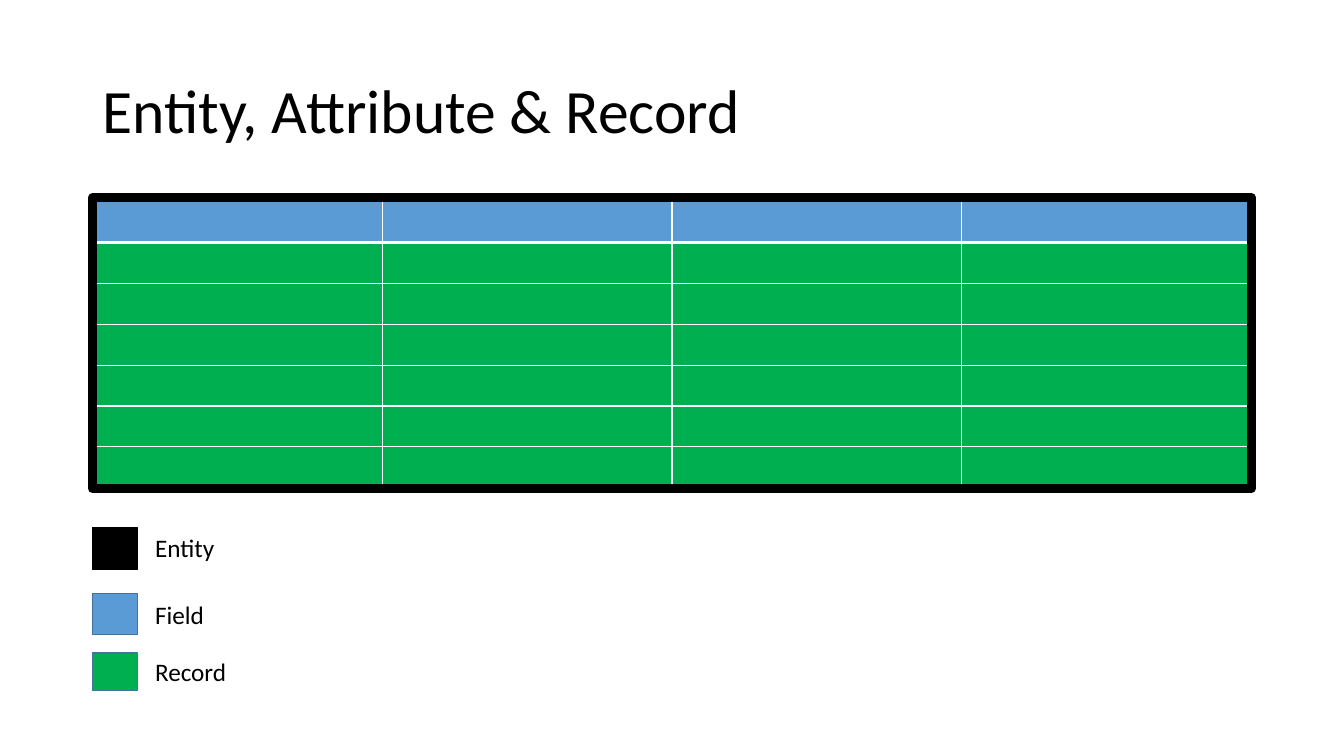
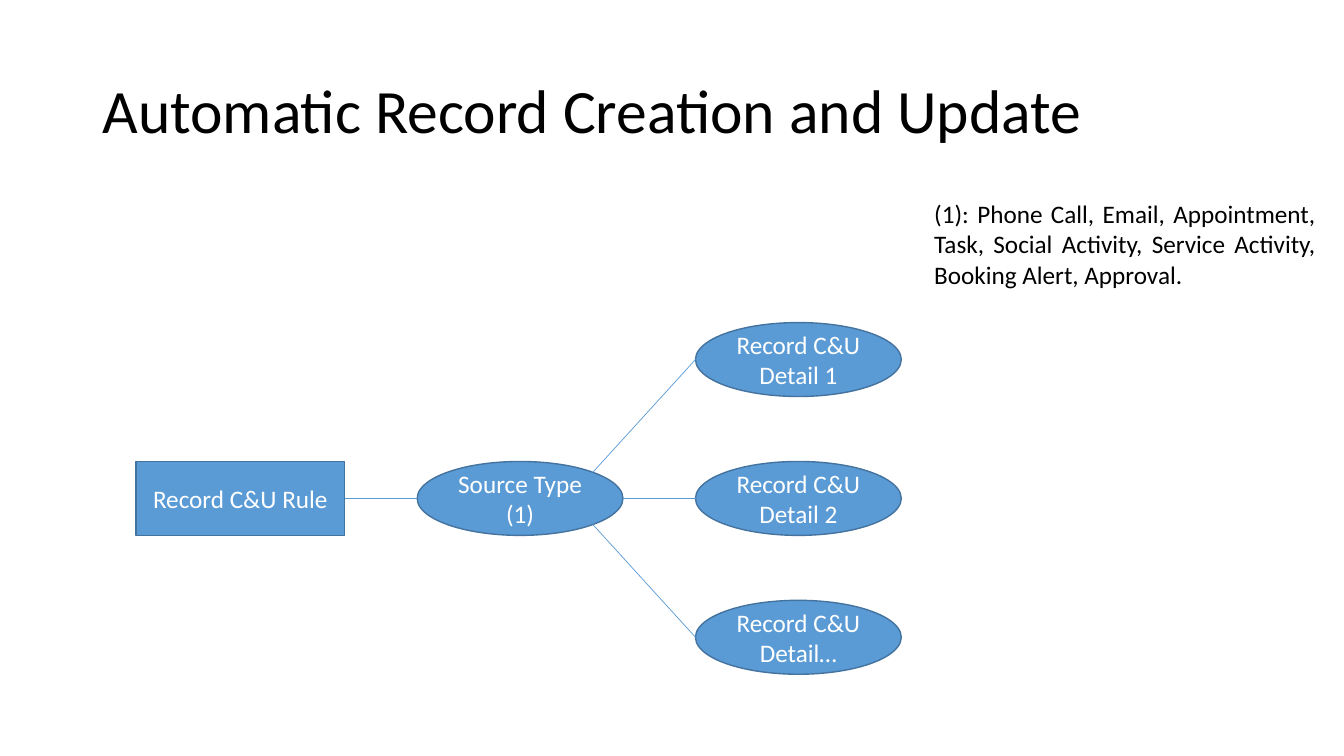
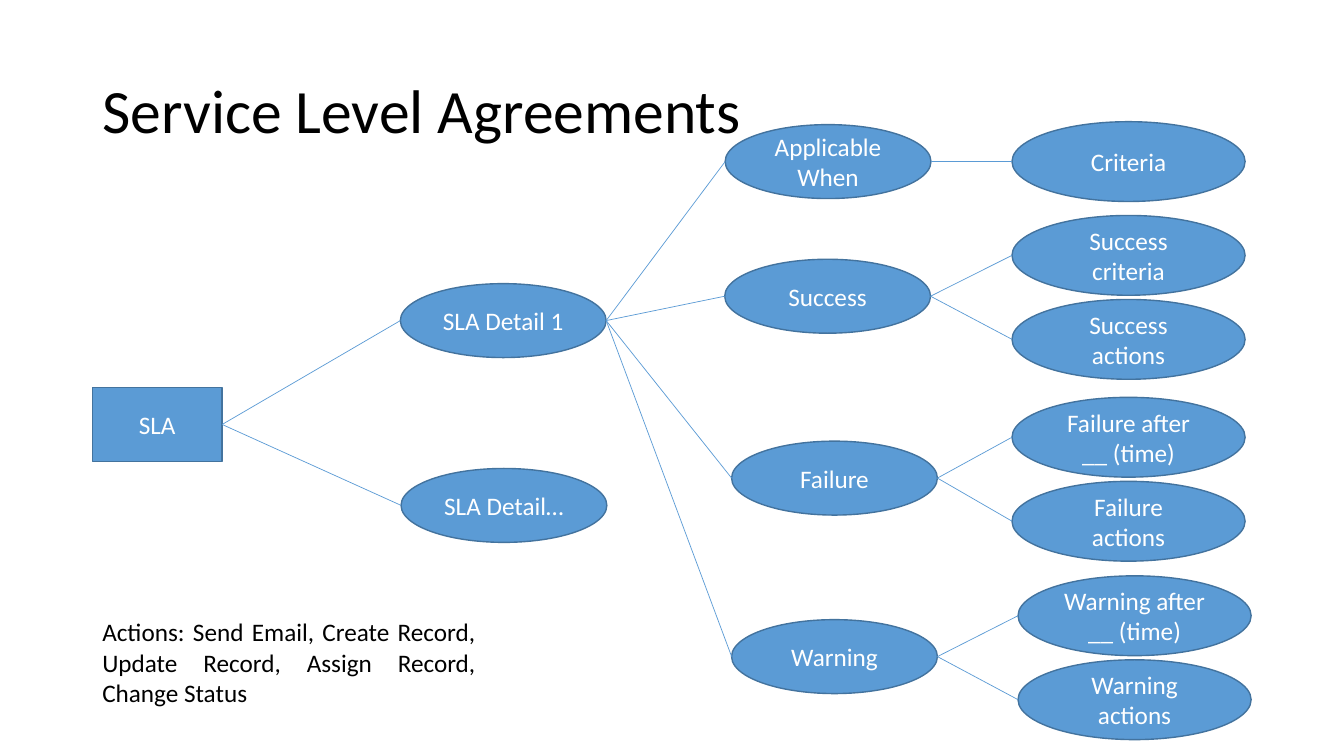
from dataclasses import dataclass
from math import sqrt

from lxml.etree import SubElement
from pptx import Presentation
from pptx.dml.color import RGBColor
from pptx.enum.shapes import MSO_CONNECTOR as CONN, MSO_SHAPE as SHAPE
from pptx.enum.text import MSO_ANCHOR as ANCHOR, MSO_AUTO_SIZE as FIT, PP_ALIGN as ALIGN
from pptx.oxml.ns import qn
from pptx.presentation import Presentation as Deck
from pptx.shapes.autoshape import Shape
from pptx.slide import Slide
from pptx.table import _Cell as Cell
from pptx.text.text import TextFrame
from pptx.util import Pt


# Theme
@dataclass(frozen=True)
class Theme:
    font: str = "Calibri"
    title_size: float = 44
    body_size: float = 18
    black: str = "000000"
    white: str = "FFFFFF"
    blue: str = "5B9BD5"
    outline: str = "43739E"
    green: str = "00B050"
    left: float = 66
    width: float = 828
    link_width: float = 0.5


THEME = Theme()


@dataclass(frozen=True)
class Box:
    left: float
    top: float
    width: float
    height: float

    def lengths(self) -> tuple[Pt, Pt, Pt, Pt]:
        return Pt(self.left), Pt(self.top), Pt(self.width), Pt(self.height)


@dataclass(frozen=True)
class Node:
    """A diagram node, placed by its left edge and vertical middle."""
    text: str
    left: float
    mid: float
    width: float = 147
    height: float = 52.8
    kind: SHAPE = SHAPE.OVAL

    def box(self) -> Box:
        return Box(self.left, self.mid - self.height / 2, self.width, self.height)

    def left_point(self) -> tuple[float, float]:
        return self.left, self.mid

    def right_point(self) -> tuple[float, float]:
        return self.left + self.width, self.mid

    def diagonal_point(self, direction: int) -> tuple[float, float]:
        """Right-hand point at 45 degrees: -1 is upper, 1 is lower."""
        return (self.left + self.width / 2 * (1 + 1 / sqrt(2)),
                self.mid + direction * self.height / 2 / sqrt(2))


@dataclass(frozen=True)
class LegendEntry:
    text: str
    fill: str
    line: str
    top: float
    height: float
    text_top: float


# Shared drawing functions
def style_text(tf: TextFrame, size: float, color: str, align: ALIGN) -> None:
    for p in tf.paragraphs:
        p.alignment = align
        for r in p.runs:
            r.font.name = THEME.font
            r.font.size = Pt(size)
            r.font.color.rgb = RGBColor.from_string(color)


def add_titled_slide(prs: Deck, title: str) -> Slide:
    s = prs.slides.add_slide(prs.slide_layouts[5])
    sp = s.shapes.title
    sp.left, sp.top, sp.width, sp.height = Box(THEME.left, 28.8, THEME.width, 104.4).lengths()
    tf = sp.text_frame
    tf.text = title
    tf.vertical_anchor = ANCHOR.MIDDLE
    tf.paragraphs[0].line_spacing = 0.9
    style_text(tf, THEME.title_size, THEME.black, ALIGN.LEFT)
    return s


def add_note(s: Slide, text: str, box: Box, align: ALIGN = ALIGN.LEFT) -> None:
    tf = s.shapes.add_textbox(*box.lengths()).text_frame
    tf.text = text
    tf.word_wrap = True
    tf.auto_size = FIT.SHAPE_TO_FIT_TEXT
    style_text(tf, THEME.body_size, THEME.black, align)


def add_shape(s: Slide, kind: SHAPE, box: Box, fill: str | None, line: str,
              line_width: float = 1) -> Shape:
    sp = s.shapes.add_shape(kind, *box.lengths())
    sp.shadow.inherit = False
    if fill is None:
        sp.fill.background()
    else:
        sp.fill.solid()
        sp.fill.fore_color.rgb = RGBColor.from_string(fill)
    sp.line.color.rgb = RGBColor.from_string(line)
    sp.line.width = Pt(line_width)
    return sp


def add_node(s: Slide, node: Node) -> None:
    tf = add_shape(s, node.kind, node.box(), THEME.blue, THEME.outline).text_frame
    tf.text = node.text
    tf.vertical_anchor = ANCHOR.MIDDLE
    style_text(tf, THEME.body_size, THEME.white, ALIGN.CENTER)


def add_link(s: Slide, start: tuple[float, float], end: tuple[float, float]) -> None:
    link = s.shapes.add_connector(CONN.STRAIGHT, *(Pt(v) for v in start + end))
    link.line.color.rgb = RGBColor.from_string(THEME.blue)
    link.line.width = Pt(THEME.link_width)
    SubElement(link._element.spPr, qn("a:effectLst"))


def add_branch(s: Slide, parent: Node, children: list[Node]) -> None:
    for child in children:
        add_node(s, child)
        add_link(s, parent.right_point(), child.left_point())


def add_border(cell: Cell, side: str, color: str, width: float) -> None:
    ln = SubElement(cell._tc.get_or_add_tcPr(), qn(f"a:ln{side}"), w=str(Pt(width)))
    SubElement(SubElement(ln, qn("a:solidFill")), qn("a:srgbClr"), val=color)


# Slide 1: table with legend
def build_entity_slide(prs: Deck) -> None:
    s = add_titled_slide(prs, "Entity, Attribute & Record")
    rows, cols, row_height = 7, 4, 29.2
    box = Box(THEME.left, 144, THEME.width, rows * row_height)
    table = s.shapes.add_table(rows, cols, *box.lengths()).table
    table.horz_banding = False
    for row in table.rows:
        row.height = Pt(row_height)
    for i in range(rows):
        for j in range(cols):
            cell = table.cell(i, j)
            cell.text_frame.paragraphs[0].font.size = Pt(THEME.body_size)
            outer = {"L": j == 0, "R": j == cols - 1, "T": i == 0, "B": i == rows - 1}
            below_header = {"B": i == 0, "T": i == 1}
            for side, is_outer in outer.items():
                add_border(cell, side, THEME.black if is_outer else THEME.white,
                           3 if below_header.get(side) else 1)
            cell.fill.solid()
            cell.fill.fore_color.rgb = RGBColor.from_string(THEME.green if i else THEME.blue)

    # Entity frame
    add_shape(s, SHAPE.RECTANGLE, Box(THEME.left, 141.1, THEME.width, 208), None, THEME.black, 6)

    # Legend
    for entry in (
        LegendEntry("Entity", THEME.black, THEME.black, 376.6, 30.2, 376.6),
        LegendEntry("Field", THEME.blue, THEME.outline, 424.1, 29.3, 424.4),
        LegendEntry("Record", THEME.green, THEME.outline, 466.3, 26.8, 465.3),
    ):
        add_shape(s, SHAPE.RECTANGLE, Box(THEME.left, entry.top, 32.2, entry.height),
                  entry.fill, entry.line)
        add_note(s, entry.text, Box(103.7, entry.text_top, 211, 29.1))


# Slide 2: record creation diagram
def build_creation_slide(prs: Deck) -> None:
    s = add_titled_slide(prs, "Automatic Record Creation and Update")
    mid, step = 356, 99.2
    rule = Node("Record C&U Rule", 97.2, mid, width=149, kind=SHAPE.RECTANGLE)
    source = Node("Source Type\n(1)", 298, mid)
    add_node(s, rule)
    add_branch(s, rule, [source])
    for direction, suffix in ((-1, " 1"), (0, " 2"), (1, "…")):
        detail = Node(f"Record C&U Detail{suffix}", 496.8, mid + direction * step)
        add_node(s, detail)
        start = source.diagonal_point(direction) if direction else source.right_point()
        add_link(s, start, detail.left_point())
    add_note(s, "(1): Phone Call, Email, Appointment, Task, Social Activity, "
                "Service Activity, Booking Alert, Approval.",
             Box(660.2, 138.2, 286.6, 72.7), ALIGN.JUSTIFY)


# Slide 3: service level agreement tree
def build_sla_slide(prs: Deck) -> None:
    s = add_titled_slide(prs, "Service Level Agreements")
    sla = Node("SLA", THEME.left, 303.2, width=92.7, kind=SHAPE.RECTANGLE)
    detail = Node("SLA Detail 1", 286, 229)
    add_node(s, sla)
    add_branch(s, sla, [detail, Node("SLA Detail…", 286.5, 361)])

    leaf_gap, leaf_shift = 60, 0.8
    stages = {
        Node("Applicable When", 518, 115.4): ["Criteria"],
        Node("Success", 517.7, 211.6): ["Success criteria", "Success actions"],
        Node("Failure", 522.6, 341.5): ["Failure after __ (time)", "Failure actions"],
        Node("Warning", 522.6, 469): ["Warning after __ (time)", "Warning actions"],
    }
    add_branch(s, detail, list(stages))
    for stage, names in stages.items():
        left = 727.2 if stage.text == "Warning" else 722.9
        first = stage.mid + (leaf_shift - leaf_gap / 2 if len(names) > 1 else 0)
        add_branch(s, stage, [Node(name, left, first + i * leaf_gap, 166.5, 57)
                              for i, name in enumerate(names)])
    add_note(s, "Actions: Send Email, Create Record, Update Record, Assign Record, Change Status",
             Box(THEME.left, 437, 280.8, 72.7), ALIGN.JUSTIFY)


def main() -> None:
    prs = Presentation()
    prs.slide_width, prs.slide_height = Pt(960), Pt(540)
    build_entity_slide(prs)
    build_creation_slide(prs)
    build_sla_slide(prs)
    prs.save("out.pptx")


main()
